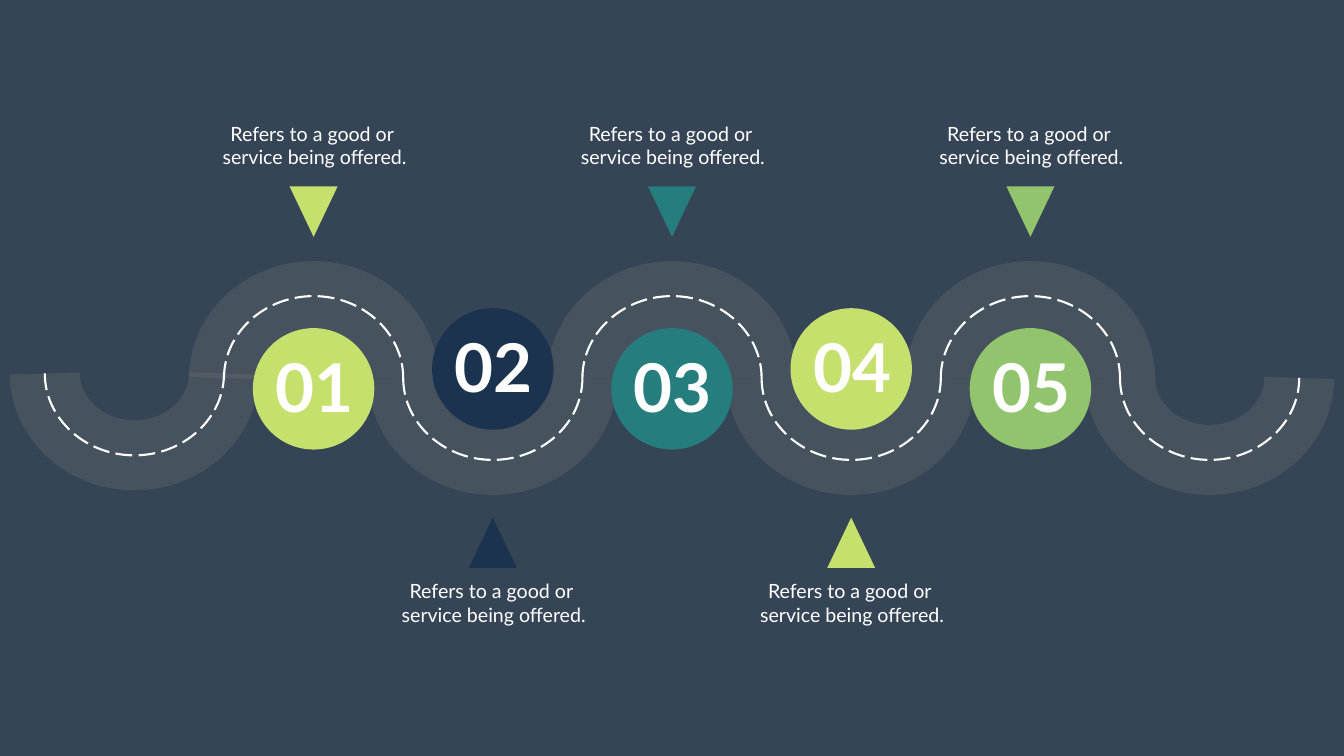
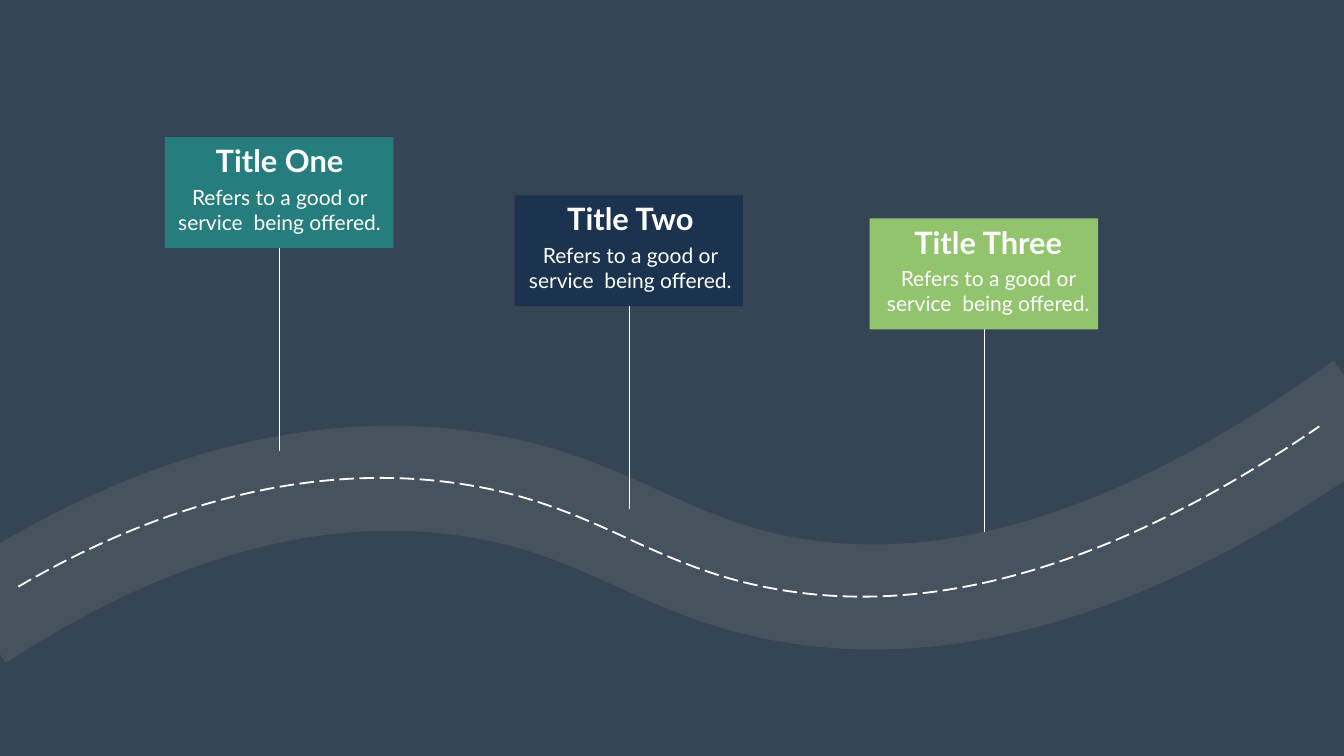
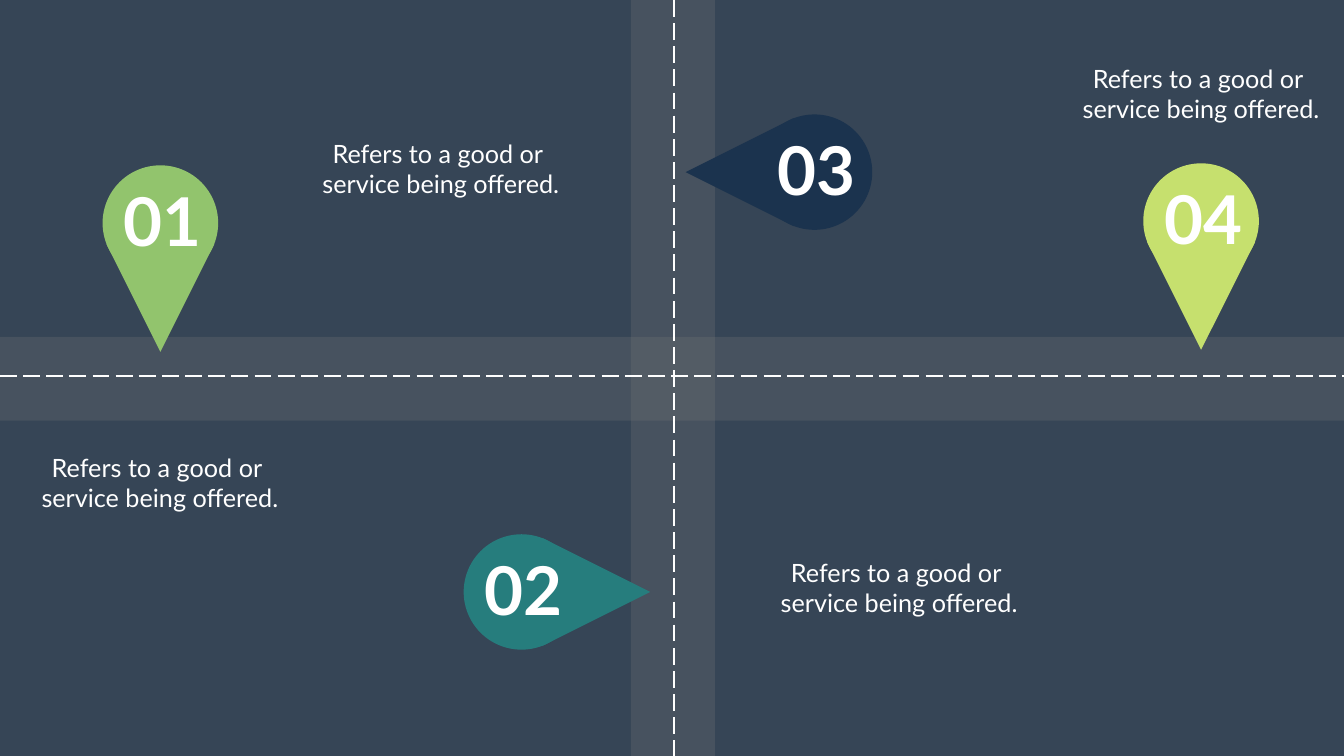
import math
from pptx import Presentation
from pptx import util as u
from pptx.dml.color import RGBColor
from pptx.enum import dml, shapes, text
from pptx.oxml import parse_xml
from pptx.oxml.ns import nsdecls, qn

WIDE, HIGH = u.Inches(26.66), u.Inches(15)
COLS, ROWS = 30, 30
HUES = {"back": "364556", "road": "797979", "white": "FFFFFF", "lime": "C6E06E",
        "navy": "1B334E", "teal": "267D7D", "green": "92C46D"}
ROAD = {"hue": "road", "width": 100, "alpha": 25}
LANE = {"hue": "white", "width": 3, "dash": dml.MSO_LINE.LONG_DASH}
POST = {"hue": "white", "width": 0.57}
NUMBER = {"size": u.Pt(96), "bold": True}
TITLE = {"size": u.Pt(44), "bold": True}
OVAL, BOX, SPIKE = (shapes.MSO_SHAPE.OVAL, shapes.MSO_SHAPE.RECTANGLE,
                    shapes.MSO_SHAPE.ISOSCELES_TRIANGLE)
NOTE = ["Refers to a good or ", "service being offered."]
SIGN = ["Refers to a good or service  being offered."]


def spot(x, y):
    """Turn a grid column and row into slide lengths."""
    return round(x * WIDE / COLS), round(y * HIGH / ROWS)


def frame(x, y, w, h):
    """Give left, top, width and height of a box centred on a grid point."""
    return *spot(x - w / 2, y - h / 2), *spot(w, h)


def tint(hue):
    """Look up a colour by name."""
    return RGBColor.from_string(HUES[hue])


def stroke(line, look):
    """Give a line its colour, width, dash and opacity."""
    line.color.rgb = tint(look["hue"])
    line.width = u.Pt(look["width"])
    if "dash" in look:
        line.dash_style = look["dash"]
    if "alpha" in look:
        clr = line.fill._xPr.find(".//" + qn("a:srgbClr"))
        clr.append(parse_xml(f'<a:alpha {nsdecls("a")} val="{look["alpha"] * 1000}"/>'))


def block(slide, kind, hue, x, y, w, h, turn=0):
    """Add a plain filled shape centred on a grid point."""
    shape = slide.shapes.add_shape(kind, *frame(x, y, w, h))
    shape.shadow.inherit = False
    shape.fill.solid()
    shape.fill.fore_color.rgb = tint(hue)
    shape.line.fill.background()
    shape.rotation = turn


def label(slide, lines, font, x, y, w, h, wrap=True, align=text.PP_ALIGN.CENTER):
    """Add white text in a box centred on a grid point."""
    body = slide.shapes.add_textbox(*frame(x, y, w, h)).text_frame
    body.word_wrap = wrap
    body.auto_size = text.MSO_AUTO_SIZE.SHAPE_TO_FIT_TEXT
    body.text = "\n".join(lines)
    for par in body.paragraphs:
        par.alignment = align
        for run in par.runs:
            for key, val in {"name": "Lato", **font}.items():
                setattr(run.font, key, val)
            run.font.color.rgb = tint("white")


def number(slide, rank, x, y):
    """Add a two-digit number over a disc."""
    label(slide, [f"{rank:02}"], NUMBER, x, y - 0.1, 1.98, 3.44, False, None)


def track(tree, knots, look):
    """Draw chained cubic curves, each with two control points between its ends."""
    pts = [spot(*knot) for knot in knots]
    pen = tree.build_freeform(*pts[0])
    pen.add_line_segments(pts[3::3], close=False)
    shape = pen.convert_to_shape()
    left, top = (min(pt[axis] for pt in pts[::3]) for axis in (0, 1))
    for i, leg in enumerate(list(shape._element.iter(qn("a:lnTo")))):
        marks = "".join(f'<a:pt x="{x - left}" y="{y - top}"/>'
                        for x, y in pts[3 * i + 1:3 * i + 4])
        bend = parse_xml(f'<a:cubicBezTo {nsdecls("a")}>{marks}</a:cubicBezTo>')
        leg.getparent().replace(leg, bend)
    shape.shadow.inherit = False
    shape.fill.background()
    stroke(shape.line, look)


def line(slide, start, end, look):
    """Draw a straight line between two grid points."""
    link = slide.shapes.add_connector(shapes.MSO_CONNECTOR.STRAIGHT,
                                      *spot(*start), *spot(*end))
    stroke(link.line, look)
    link._element.spPr.append(parse_xml(f'<a:effectLst {nsdecls("a")}/>'))


def arch(x, y, rise):
    """List the knots of half an ellipse, four columns wide."""
    return [(x + 2 * across, y + rise * up) for across, up in
            ((-1, 0), (-1, 0.55), (-0.55, 1), (0, 1), (0.55, 1), (1, 0.55), (1, 0))]


def page(deck):
    """Add a blank slide with the shared dark back."""
    slide = deck.slides.add_slide(deck.slide_layouts[6])
    slide.background.fill.solid()
    slide.background.fill.fore_color.rgb = tint("back")
    return slide


def waves(deck):
    """Build the winding road with five numbered stops."""
    slide = page(deck)
    arcs = [arch(3 + 4 * i, 15 if i else 14.82, -3.25 if i % 2 else 3.25)
            for i in range(7)]
    road = slide.shapes.add_group_shape()
    for tree, look in ((road.shapes, ROAD), (slide.shapes, LANE)):
        for knots in arcs:
            track(tree, knots, look)
    for rank, hue in enumerate(("lime", "navy", "teal", "lime", "green"), 1):
        x = 3 + 4 * rank
        y, tip, note, turn = (15.43, 8.4, 5.76, 180) if rank % 2 else (14.64, 21.54, 23.92, 0)
        block(slide, OVAL, hue, x, y, 2.71, 4.82)
        block(slide, SPIKE, hue, x, tip, 1.07, 2, turn)
        number(slide, rank, x + 0.03, y)
        label(slide, NOTE, {"size": u.Pt(28)}, x + 0.02, note, 4.73, 2.08)


def signs(deck):
    """Build the rolling road with three signs on posts."""
    slide = page(deck)
    road = [(-0.51, 24.56), (2.13, 21.5), (6.03, 18.12), (10.37, 19.18), (13.51, 19.94),
            (14.68, 22.48), (17.59, 23.4), (20.36, 24.26), (24.54, 23.6), (30.45, 16)]
    lane = [(0.41, 23.28), (2.96, 20.64), (6.38, 18.26), (10.12, 19.16), (13.27, 19.92),
            (14.44, 22.48), (17.33, 23.38), (19.98, 24.22), (23.93, 23.64), (29.45, 16.92)]
    track(slide.shapes, road, {**ROAD, "width": 150})
    track(slide.shapes, lane, {**LANE, "width": 2.61})
    for name, hue, x, y, shift, w in (("Title One", "teal", 6.23, 7.64, 0.01, 3.12),
                                      ("Title Two", "navy", 14.04, 9.95, 0.03, 3.16),
                                      ("Title Three", "green", 21.96, 10.87, 0.1, 3.6)):
        line(slide, (x, y), (x, y + 10.24), POST)
        block(slide, BOX, hue, x, y, 5.1, 4.4)
        label(slide, [name], TITLE, x + shift, y - 1.27, w, 1.68, False)
        label(slide, SIGN, {"size": u.Pt(30)}, x + shift, y + 0.68, 5.24, 2.22)


def cross(deck):
    """Build the crossroads with four pins."""
    slide = page(deck)
    for look, x, y in (({**ROAD, "width": 120}, 15.02, 15.03), (LANE, 15.04, 14.93)):
        line(slide, (x, 0), (x, ROWS), look)
        line(slide, (0, y), (COLS, y), look)
    pins = (("green", 3.58, 8.85, 180, 9.84, 6.69),
            ("teal", 11.64, 23.49, 90, 3.57, 19.17),
            ("navy", 18.18, 6.83, 270, 20.07, 23.33),
            ("lime", 26.81, 8.77, 180, 26.81, 3.73))
    for rank, (hue, x, y, turn, left, top) in enumerate(pins, 1):
        way = math.radians(turn)
        block(slide, SPIKE, hue, x + 1.67 * math.sin(way), y - 2.97 * math.cos(way),
              2.41, 4.28, turn)
        block(slide, OVAL, hue, x, y, 2.58, 4.58)
        number(slide, rank, x + 0.06, y)
        label(slide, NOTE, {"size": u.Pt(36)}, left, top, 6.11, 2.62)


def main():
    """Build the deck and save it."""
    deck = Presentation()
    deck.slide_width, deck.slide_height = WIDE, HIGH
    for build in (waves, signs, cross):
        build(deck)
    deck.save("out.pptx")


if __name__ == "__main__":
    main()
